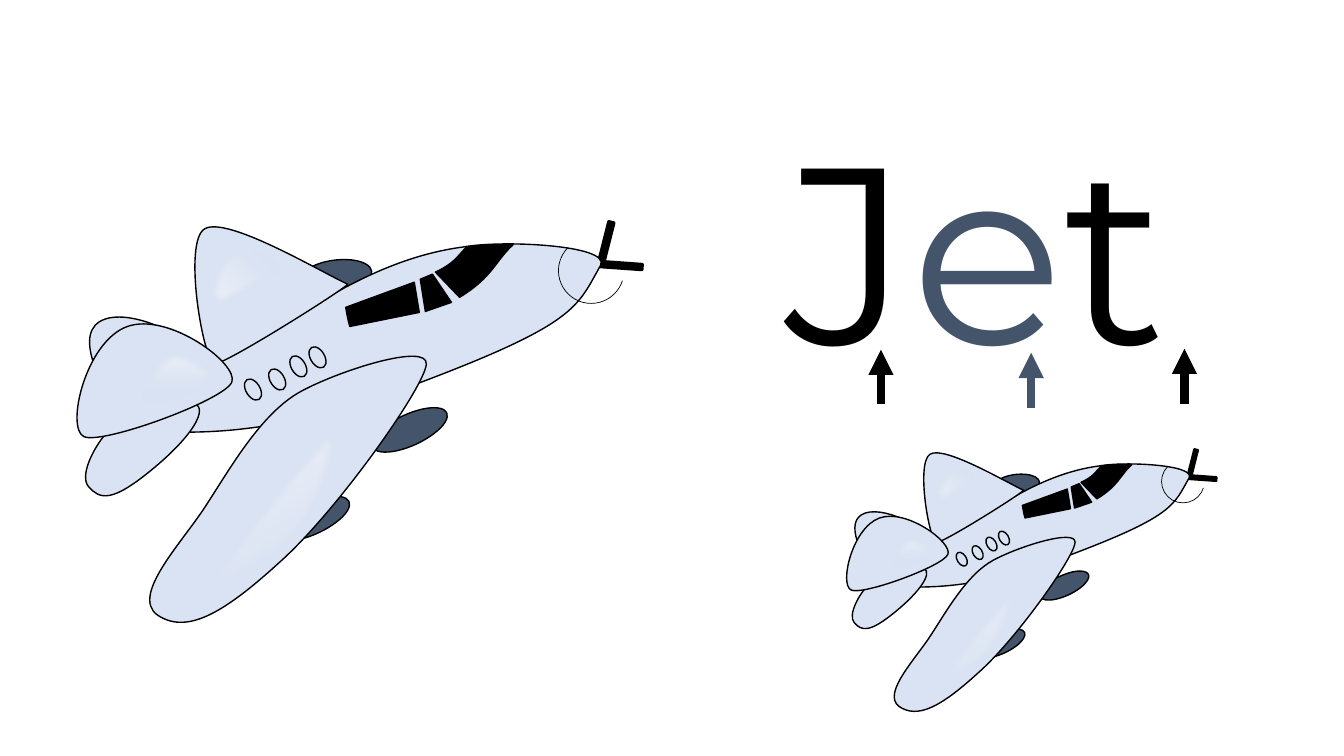
from math import cos, radians, sin

from lxml.etree import SubElement
from pptx import Presentation
from pptx.dml.color import RGBColor
from pptx.enum.shapes import MSO_CONNECTOR, MSO_SHAPE as Preset
from pptx.enum.text import MSO_ANCHOR, MSO_AUTO_SIZE, PP_ALIGN
from pptx.oxml import parse_xml
from pptx.oxml.ns import nsdecls, qn
from pptx.util import Pt

PX = 9144  # 100 px to the inch
BLACK = RGBColor(0x00, 0x00, 0x00)
SLATE = RGBColor(0x44, 0x54, 0x6A)
SKY = RGBColor(0xDA, 0xE3, 0xF3)
GLOW = RGBColor(0xF6, 0xF8, 0xFC)

# Preset parts: preset, box, rotation, fill
# Curved parts: outline (start, then curves of 6 or lines of 2 numbers), box, rotation, fill
# Highlights: as curved parts, with a gradient angle in place of the fill
PROPELLER = [
    (Preset.ROUNDED_RECTANGLE, (595, 260, 43, 7), 4.1, BLACK),
    (Preset.ROUNDED_RECTANGLE, (580, 237, 43, 7), 284.2, BLACK),
]
BODY = [
    (Preset.OVAL, (298, 258, 71, 31), 352.8, SLATE),
    ([(123, 429), (86, 434, 186, 375, 242, 345), (298, 314, 368, 257, 460, 245),
      (498, 238, 605, 243, 596, 263), (572, 305, 574, 321, 405, 384),
      (235, 447, 159, 423, 123, 429)], (101, 283, 509, 119), 337.1, SKY),
    ([(118, 411), (109, 395, 71, 336, 99, 319), (127, 302, 199, 337, 203, 365),
      (203, 368, 136, 419, 118, 411)], (91, 311, 110, 97), 352.8, SKY),
    ([(88, 483), (77, 471, 97, 435, 114, 421), (130, 407, 175, 387, 186, 399),
      (211, 399, 195, 429, 153, 464), (110, 500, 99, 495, 88, 483)],
     (71, 409, 134, 58), 317.9, SKY),
    ([(213, 361), (202, 361, 181, 240, 203, 227), (225, 214, 317, 269, 345, 282),
      (337, 290, 224, 361, 213, 361)], (169, 211, 155, 124), 327.5, SKY),
]
NEAR_WING = [
    (Preset.OVAL, (366, 411, 81, 31), 335.2, SLATE),
    (Preset.OVAL, (269, 499, 81, 31), 335.2, SLATE),
    ([(156, 610), (129, 590, 183, 536, 206, 499), (230, 462, 260, 409, 299, 388),
      (338, 367, 424, 340, 423, 361), (422, 383, 334, 508, 276, 559),
      (219, 611, 184, 629, 156, 610)], (100, 425, 364, 105), 309.8, SKY),
]
WINDOWS = [(Preset.OVAL, (x, y, 14, 23), 328.8, SKY)
           for x, y in ((244, 375), (268, 365), (289, 352), (308, 343))]
COCKPIT = [
    ([(343, 305), (411, 280), (416, 310), (347, 324), (345, 317, 344, 311, 343, 305)],
     (343, 287, 72, 30), 348.4, BLACK),
    ([(422, 309), (448, 300), (429, 272), (417, 277), (422, 309)],
     (416, 273, 27, 32), 340.5, BLACK),
    ([(432, 270), (451, 261, 453, 255, 463, 245), (472, 245, 481, 242, 509, 243),
      (492, 258, 489, 275, 456, 295), (432, 270)], (432, 244, 80, 49), 352.8, BLACK),
    (Preset.ARC, (554, 236, 65, 65), 224.6, None),
]
TAIL = [
    ([(126, 324), (167, 309, 237, 361, 230, 379), (223, 397, 100, 442, 83, 433),
      (65, 424, 85, 339, 126, 324)], (94, 290, 98, 161), 249.8, SKY),
]
HIGHLIGHTS = [
    ([(165, 349), (186, 341, 222, 367, 218, 377), (215, 386, 152, 409, 143, 404),
      (134, 400, 144, 356, 165, 349)], (149, 331, 50, 83), 249.8, 20),
    ([(301, 530), (334, 487, 342, 417, 327, 425), (311, 433, 209, 561, 205, 578),
      (201, 596, 267, 572, 301, 530)], (256, 414, 50, 201), 218.5, 20),
    ([(226, 248), (206, 259, 203, 303, 213, 306), (222, 310, 281, 276, 283, 267),
      (285, 257, 245, 237, 226, 248)], (213, 228, 50, 83), 60.4, 80),
]
JET = PROPELLER + BODY + NEAR_WING + WINDOWS + COCKPIT + TAIL + HIGHLIGHTS
JET_PLACES = [(1, 0, 0), (0.654, 790, 302)]  # scale, left, top


def bend(part, outline, box, rotation, scale):
    """Give a freeform the curved outline, turned back about the middle of its box."""
    left, top, width, height = box
    turn_cos, turn_sin = cos(radians(rotation)), sin(radians(rotation))
    track = part._element.spPr.find(".//" + qn("a:path"))
    for old in list(track):
        track.remove(old)
    for number, segment in enumerate(outline):
        tag = "a:moveTo" if number == 0 else "a:lnTo" if len(segment) == 2 else "a:cubicBezTo"
        command = SubElement(track, qn(tag))
        for x, y in zip(segment[::2], segment[1::2]):
            dx, dy = x - left - width / 2, y - top - height / 2
            local_x = width / 2 + dx * turn_cos + dy * turn_sin
            local_y = height / 2 - dx * turn_sin + dy * turn_cos
            SubElement(command, qn("a:pt"), x=str(round(local_x * scale * PX)),
                       y=str(round(local_y * scale * PX)))
    SubElement(track, qn("a:close"))


deck = Presentation()
deck.slide_width, deck.slide_height = 12192000, 750 * PX
page = deck.slides.add_slide(deck.slide_layouts[5])

# Word
title = page.shapes.title
title.left, title.top, title.width, title.height = [n * PX for n in (769, 88, 530, 313)]
frame = title.text_frame
frame.word_wrap = True
frame.auto_size = MSO_AUTO_SIZE.SHAPE_TO_FIT_TEXT
frame.vertical_anchor = MSO_ANCHOR.TOP
para = frame.paragraphs[0]
para.alignment = PP_ALIGN.LEFT
for letter, color in (("J", BLACK), ("e", SLATE), ("t", BLACK)):
    span = para.add_run()
    span.text = letter
    span.font.name = "Montserrat"
    span.font.size = Pt(180)
    span.font.color.rgb = color
    span.font._element.insert(0, parse_xml(
        f'<a:ln {nsdecls("a")} w="9525"><a:solidFill><a:srgbClr val="000000"/>'
        '</a:solidFill></a:ln>'))

# Arrows under the letters
for x, bottom, top, color in ((874, 401, 347, BLACK), (1023, 405, 350, SLATE),
                              (1175, 401, 346, BLACK)):
    arrow = page.shapes.add_connector(MSO_CONNECTOR.STRAIGHT, x * PX, bottom * PX,
                                      x * PX, top * PX)
    arrow.line.color.rgb = color
    arrow.line.width = Pt(6)
    SubElement(arrow.line._get_or_add_ln(), qn("a:tailEnd"), type="triangle")
    SubElement(arrow._element.spPr, qn("a:effectLst"))

# Jets, large and small
for scale, jet_left, jet_top in JET_PLACES:
    jet = page.shapes.add_group_shape()
    for form, box, rotation, fill in JET:
        left, top = round((box[0] * scale + jet_left) * PX), round((box[1] * scale + jet_top) * PX)
        width, height = round(box[2] * scale * PX), round(box[3] * scale * PX)
        if isinstance(form, list):
            builder = jet.shapes.build_freeform(left, top, scale=1.0)
            builder.add_line_segments([(left + width, top), (left + width, top + height),
                                       (left, top + height)], close=True)
            part = builder.convert_to_shape()
            bend(part, form, box, rotation, scale)
        else:
            part = jet.shapes.add_shape(form, left, top, width, height)
        part.rotation = rotation
        part.shadow.inherit = False
        if isinstance(fill, int):
            part.line.fill.background()
            part.fill.gradient()
            part.fill.gradient_angle = 360 - fill
            for stop, position, color in zip(part.fill.gradient_stops, (0.32, 1), (SKY, GLOW)):
                stop.position = position
                stop.color.rgb = color
            SubElement(part._element.spPr.find(qn("a:effectLst")), qn("a:softEdge"), rad="63500")
            continue
        part.line.color.rgb = BLACK
        part.line.width = Pt(1)
        if fill is None:  # nose arc
            part.fill.background()
            part.line.width = Pt(0.5)
            part.adjustments[0] = 153.01 * 0.6
            part.adjustments[1] = 0
        else:
            part.fill.solid()
            part.fill.fore_color.rgb = fill

deck.save("out.pptx")
